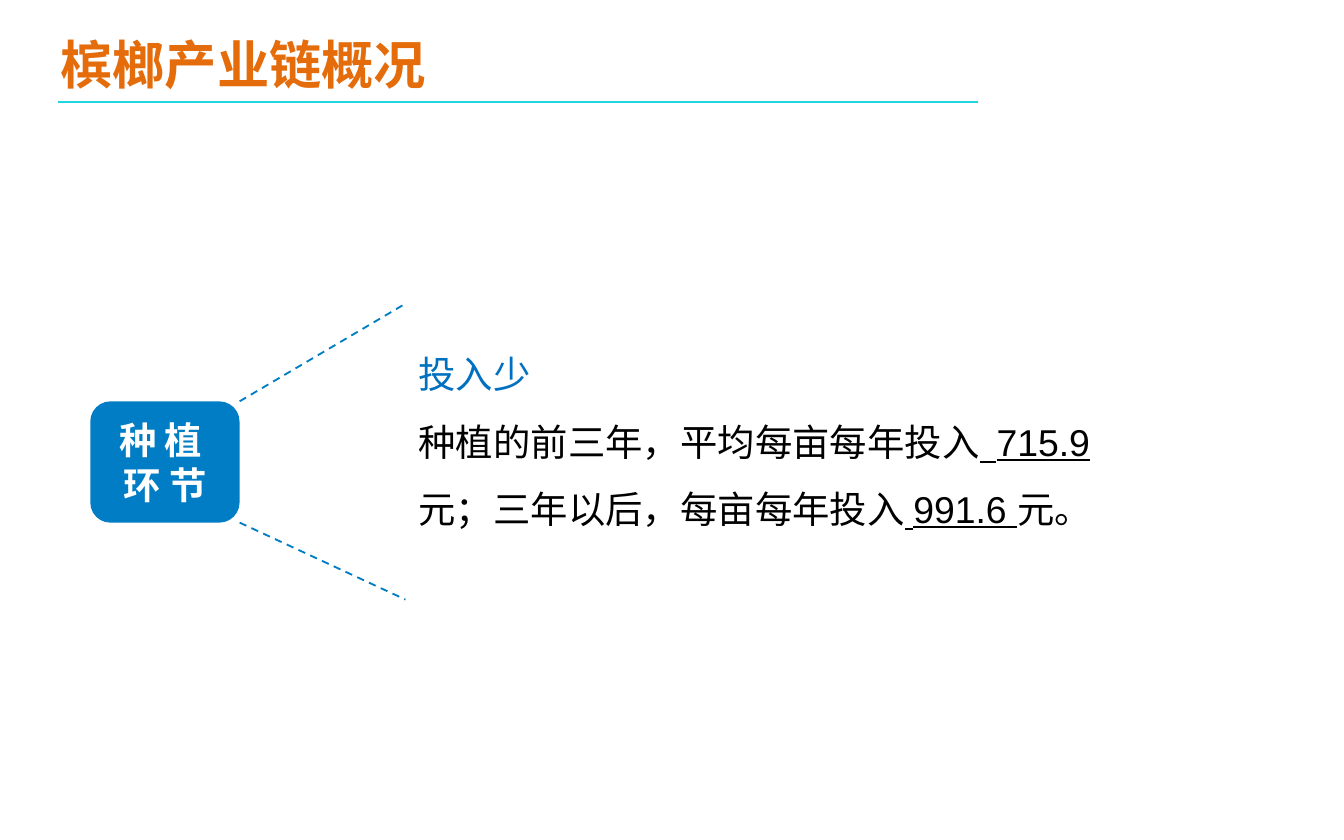
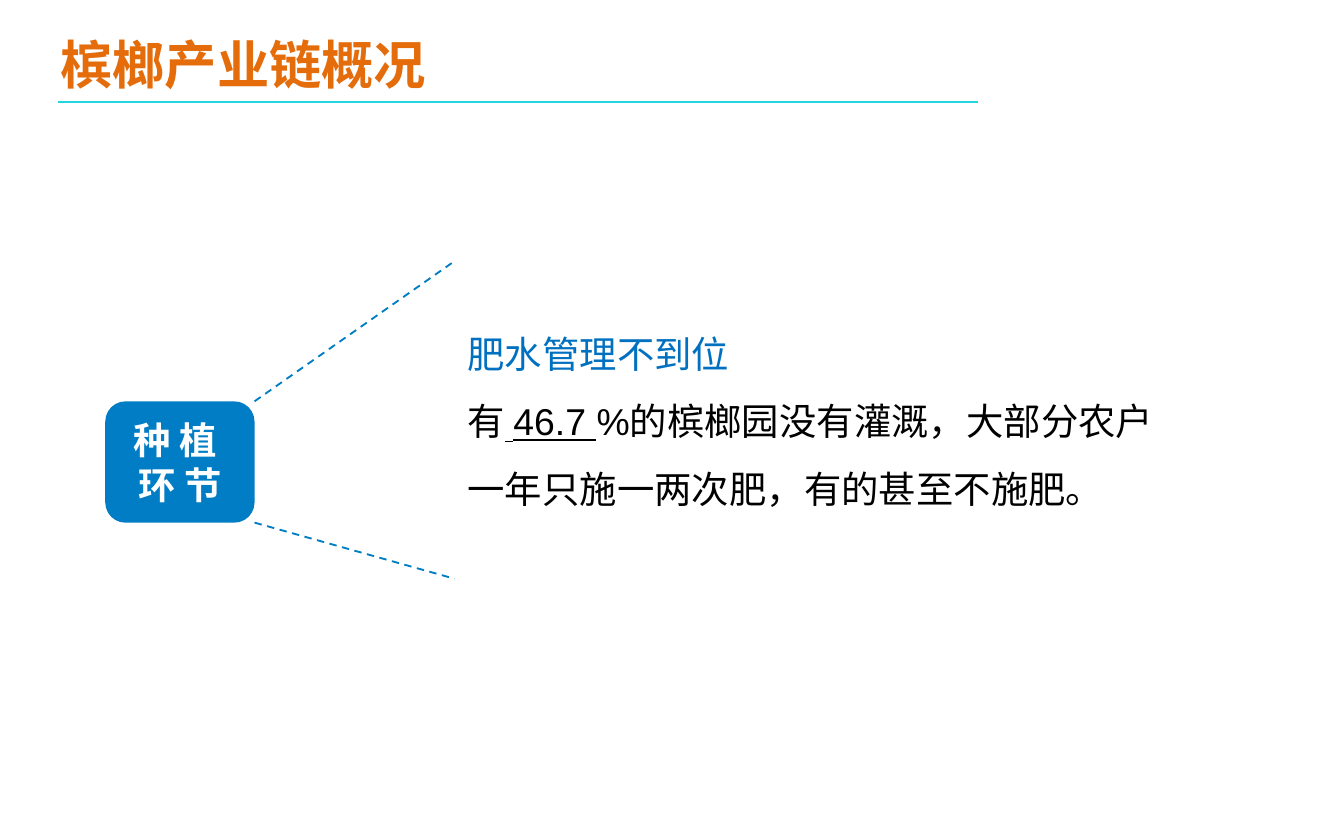
from lxml import etree
from pptx import Presentation
from pptx.dml.color import RGBColor
from pptx.enum import dml, shapes, text
from pptx.oxml.ns import qn
from pptx.util import Pt

BLUE, HEAD, BLACK, WHITE = "007DC4", "0070C0", "000000", "FFFFFF"
ORANGE, RULE = "E46C0A", "21D6E0"
LATIN, CJK = "Arial", "Noto Sans CJK SC"
TITLE = "槟榔产业链概况"
STAGE_TOP, STAGE_W, STAGE_H = 215, 80, 65

SLIDES = [
    dict(stage_x=48.4, text_box=(217.2, 172.8, 391.7, 116.6), fan=(162.7, 321.2),
         head="投入少",
         body=[("种植的前三年，平均每亩每年投入", False), ("  715.9 ", True),
               ("元；三年以后，每亩每年投入", False), (" 991.6 ", True),
               ("元。", False)]),
    dict(stage_x=56.4, text_box=(243.4, 162, 394.6, 117.4), fan=(140, 310),
         head="肥水管理不到位",
         body=[("有", False), (" 46.7 ", True),
               ("%的槟榔园没有灌溉，大部分农户一年只施一两次肥，有的甚至不施肥。", False)]),
]


def rgb(color):
    return RGBColor.from_string(color)


def add_run(p, words, size, color, font, bold=False, underline=False):
    r = p.add_run()
    r.text = words
    f = r.font
    f.size, f.name, f.bold, f.underline = Pt(size), font, bold, underline
    f.color.rgb = rgb(color)


def add_line(s, x1, y1, x2, y2, color, dashed=False):
    c = s.shapes.add_connector(shapes.MSO_CONNECTOR.STRAIGHT,
                               Pt(x1), Pt(y1), Pt(x2), Pt(y2))
    c.line.color.rgb = rgb(color)
    c.line.width = Pt(1)
    if dashed:
        c.line.dash_style = dml.MSO_LINE.DASH
    etree.SubElement(c.element.spPr, qn("a:effectLst"))


def add_title(s, x, y, w, h):
    sp = s.shapes.title
    sp.left, sp.top, sp.width, sp.height = Pt(x), Pt(y), Pt(w), Pt(h)
    tf = sp.text_frame
    tf.vertical_anchor = text.MSO_ANCHOR.TOP
    p = tf.paragraphs[0]
    p.alignment = text.PP_ALIGN.LEFT
    add_run(p, TITLE, 28, ORANGE, "Calibri", bold=True)
    add_line(s, x + 6, y + h, x + w, y + h, RULE)


def add_stage(s, x, y, w, h):
    sp = s.shapes.add_shape(shapes.MSO_SHAPE.ROUNDED_RECTANGLE,
                            Pt(x), Pt(y), Pt(w), Pt(h))
    sp.shadow.inherit = False
    sp.fill.solid()
    sp.fill.fore_color.rgb = rgb(BLUE)
    sp.line.fill.background()
    tf = sp.text_frame
    tf.vertical_anchor = text.MSO_ANCHOR.MIDDLE
    for i, words in enumerate(("种 植 ", "环 节")):
        p = tf.add_paragraph() if i else tf.paragraphs[0]
        p.alignment = text.PP_ALIGN.CENTER
        p.line_spacing = Pt(24)
        add_run(p, words, 20, WHITE, CJK, bold=True)


def add_finding(s, x, y, w, h, head, body):
    tf = s.shapes.add_textbox(Pt(x), Pt(y), Pt(w), Pt(h)).text_frame
    tf.word_wrap = True
    p = tf.paragraphs[0]
    p.line_spacing = 1.5
    add_run(p, head, 20, HEAD, LATIN)
    p = tf.add_paragraph()
    p.line_spacing = 1.5
    for words, underline in body:
        add_run(p, words, 20, BLACK, LATIN, underline=underline)


def add_slide(prs, stage_x, text_box, fan, head, body):
    s = prs.slides.add_slide(prs.slide_layouts[5])
    right = stage_x + STAGE_W
    for y, end_y in zip((STAGE_TOP + STAGE_H, STAGE_TOP), reversed(fan)):
        add_line(s, right, y, text_box[0], end_y, BLUE, dashed=True)
    add_stage(s, stage_x, STAGE_TOP, STAGE_W, STAGE_H)
    add_finding(s, *text_box, head, body)
    add_title(s, 25.2, 13.7, 499, 41)


def main():
    prs = Presentation()
    prs.slide_width, prs.slide_height = Pt(720), Pt(450)
    for content in SLIDES:
        add_slide(prs, **content)
    prs.save("out.pptx")


if __name__ == "__main__":
    main()
